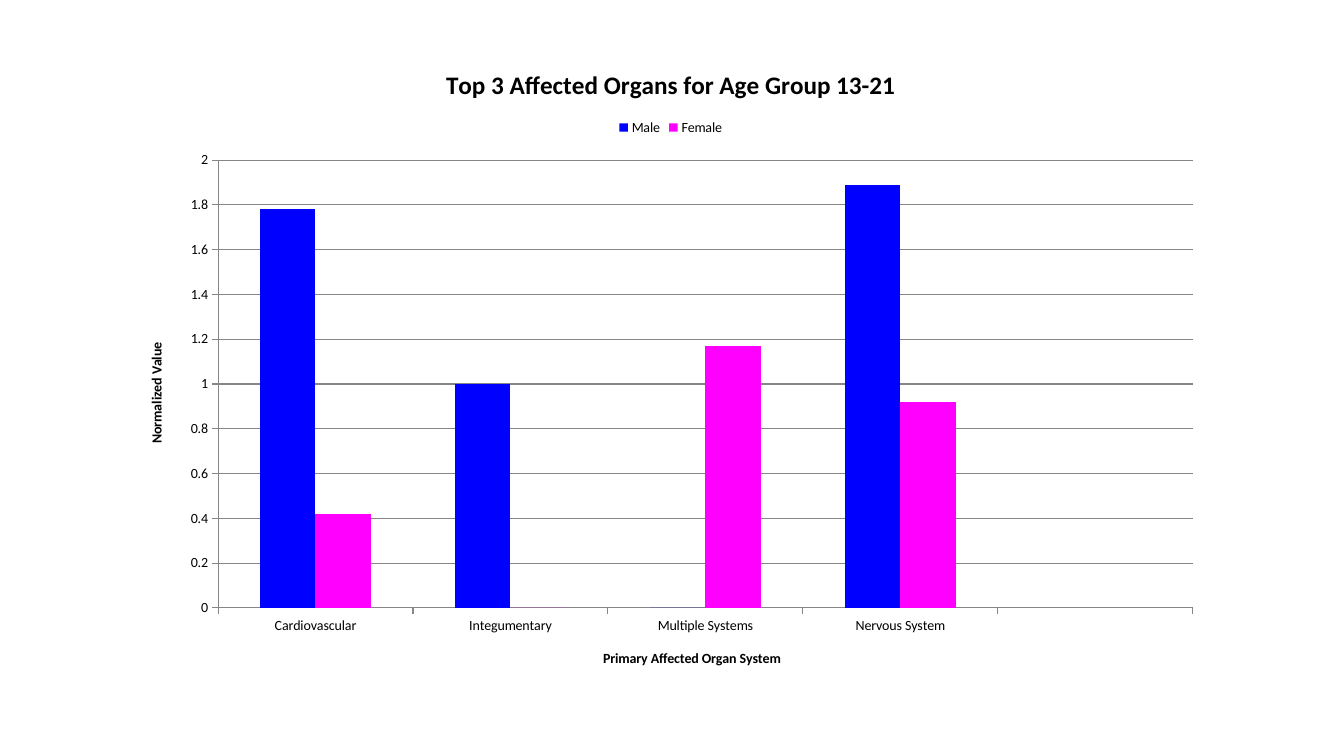
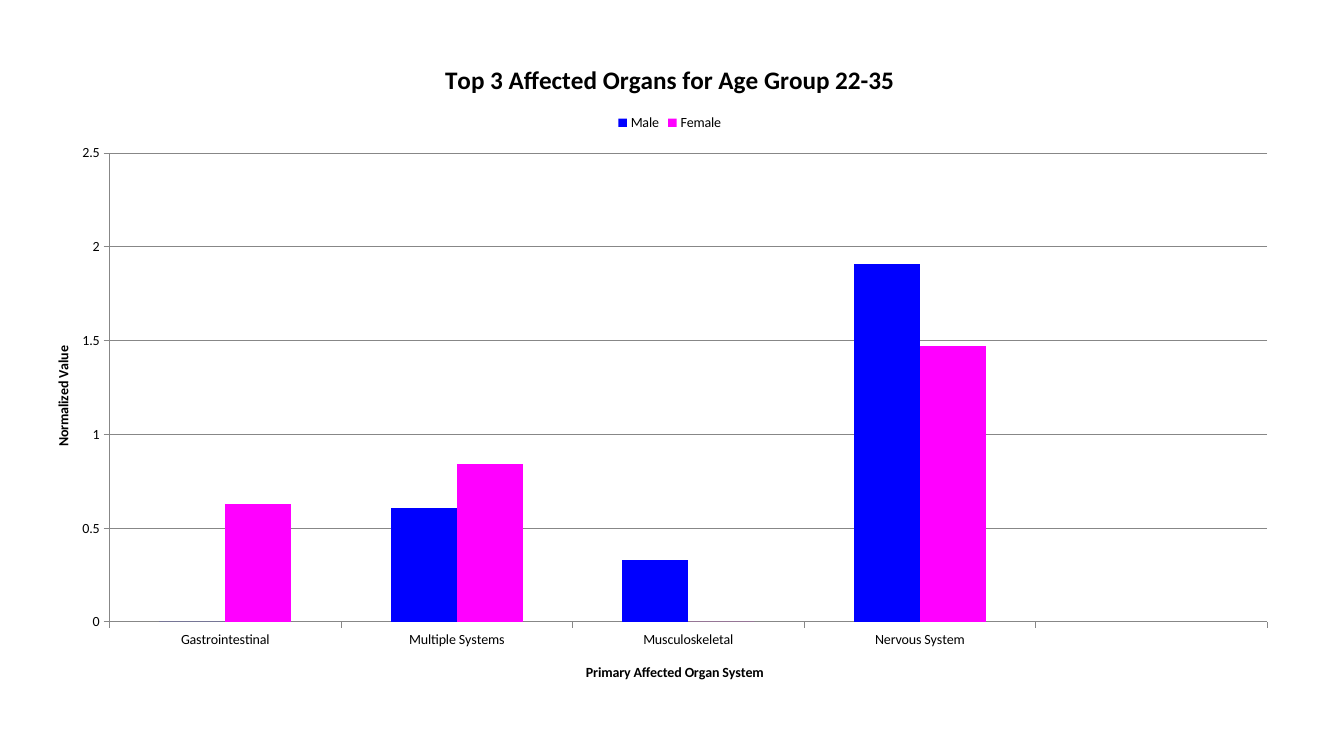
import lxml.etree
import pptx
import pptx.chart.data
import pptx.dml.color
import pptx.enum.chart
import pptx.oxml.ns
import pptx.util

Pt = pptx.util.Pt
RGBColor = pptx.dml.color.RGBColor
qn = pptx.oxml.ns.qn

BLACK = RGBColor(0x00, 0x00, 0x00)
GRAY = RGBColor(0x87, 0x87, 0x87)
BLUE = RGBColor(0x00, 0x00, 0xFF)
MAGENTA = RGBColor(0xFF, 0x00, 0xFF)
SERIES_COLORS = {"Male": BLUE, "Female": MAGENTA}
FONT = "Calibri"

SLIDES = [
    {
        "ages": "13-21",
        "box": (90.72, 31.68, 776.88, 459.36),
        "organs": ["Cardiovascular", "Integumentary", "Multiple Systems", "Nervous System", ""],
        "values": {"Male": [1.78, 1, 0, 1.89, None], "Female": [0.42, 0, 1.17, 0.92, None]},
        "plot": None,
    },
    {
        "ages": "22-35",
        "box": (36.72, 28.08, 883.44, 473.04),
        "organs": ["Gastrointestinal", "Multiple Systems", "Musculoskeletal", "Nervous System", ""],
        "values": {"Male": [0, 0.61, 0.33, 1.91, None], "Female": [0.63, 0.84, 0, 1.47, None]},
        "plot": (0.047, 0.172, 0.936, 0.708),
    },
]


def style_font(font, size, bold=False):
    """Apply the shared typeface and colour."""
    font.name = FONT
    font.size = Pt(size)
    font.bold = bold
    font.color.rgb = BLACK


def add_title(owner, text, size):
    """Give a chart or an axis a bold title."""
    tf = (owner.chart_title if hasattr(owner, "chart_title") else owner.axis_title).text_frame
    r = tf.paragraphs[0].add_run()
    r.text = text
    style_font(r.font, size, True)


def style_line(fmt):
    """Draw an axis or gridline as a thin gray line."""
    fmt.line.color.rgb = GRAY
    fmt.line.width = Pt(0.75)


def set_plot_layout(chart, fractions):
    """Fix the inner plot area as fractions of the chart box."""
    area = chart.plots[0]._element.getparent()
    for old in area.findall(qn("c:layout")):
        area.remove(old)
    layout = lxml.etree.Element(qn("c:layout"))
    manual = lxml.etree.SubElement(layout, qn("c:manualLayout"))
    settings = [("layoutTarget", "inner"), ("xMode", "edge"), ("yMode", "edge")]
    settings += zip("xywh", map(str, fractions))
    for tag, val in settings:
        lxml.etree.SubElement(manual, qn("c:" + tag)).set("val", val)
    area.insert(0, layout)


def add_organ_chart(slide, box, ages, organs, values, plot):
    """Place a clustered column chart of affected organs in the box."""
    data = pptx.chart.data.CategoryChartData()
    data.categories = organs
    for name, vals in values.items():
        data.add_series(name, vals)
    kind = pptx.enum.chart.XL_CHART_TYPE.COLUMN_CLUSTERED
    chart = slide.shapes.add_chart(kind, *map(Pt, box), data).chart
    style_font(chart.font, 10)
    add_title(chart, f"Top 3 Affected Organs for Age Group {ages}", 18)

    chart.has_legend = True
    chart.legend.position = pptx.enum.chart.XL_LEGEND_POSITION.TOP
    chart.legend.include_in_layout = False
    style_font(chart.legend.font, 10)

    axes = [
        (chart.category_axis, "Primary Affected Organ System"),
        (chart.value_axis, "Normalized Value"),
    ]
    for axis, text in axes:
        add_title(axis, text, 10)
        style_font(axis.tick_labels.font, 10)
        axis.major_tick_mark = pptx.enum.chart.XL_TICK_MARK.OUTSIDE
        style_line(axis.format)
    chart.value_axis.has_major_gridlines = True
    style_line(chart.value_axis.major_gridlines.format)

    bars = chart.plots[0]
    bars.gap_width = 150
    bars.overlap = 0
    bars.vary_by_categories = False
    for series in bars.series:
        series.format.fill.solid()
        series.format.fill.fore_color.rgb = SERIES_COLORS[series.name]
        series.invert_if_negative = False
    if plot:
        set_plot_layout(chart, plot)


def main():
    """Build and save the presentation."""
    prs = pptx.Presentation()
    prs.slide_width, prs.slide_height = Pt(960), Pt(540)
    for content in SLIDES:
        slide = prs.slides.add_slide(prs.slide_layouts[6])
        add_organ_chart(slide, **content)
    prs.save("out.pptx")


if __name__ == "__main__":
    main()
